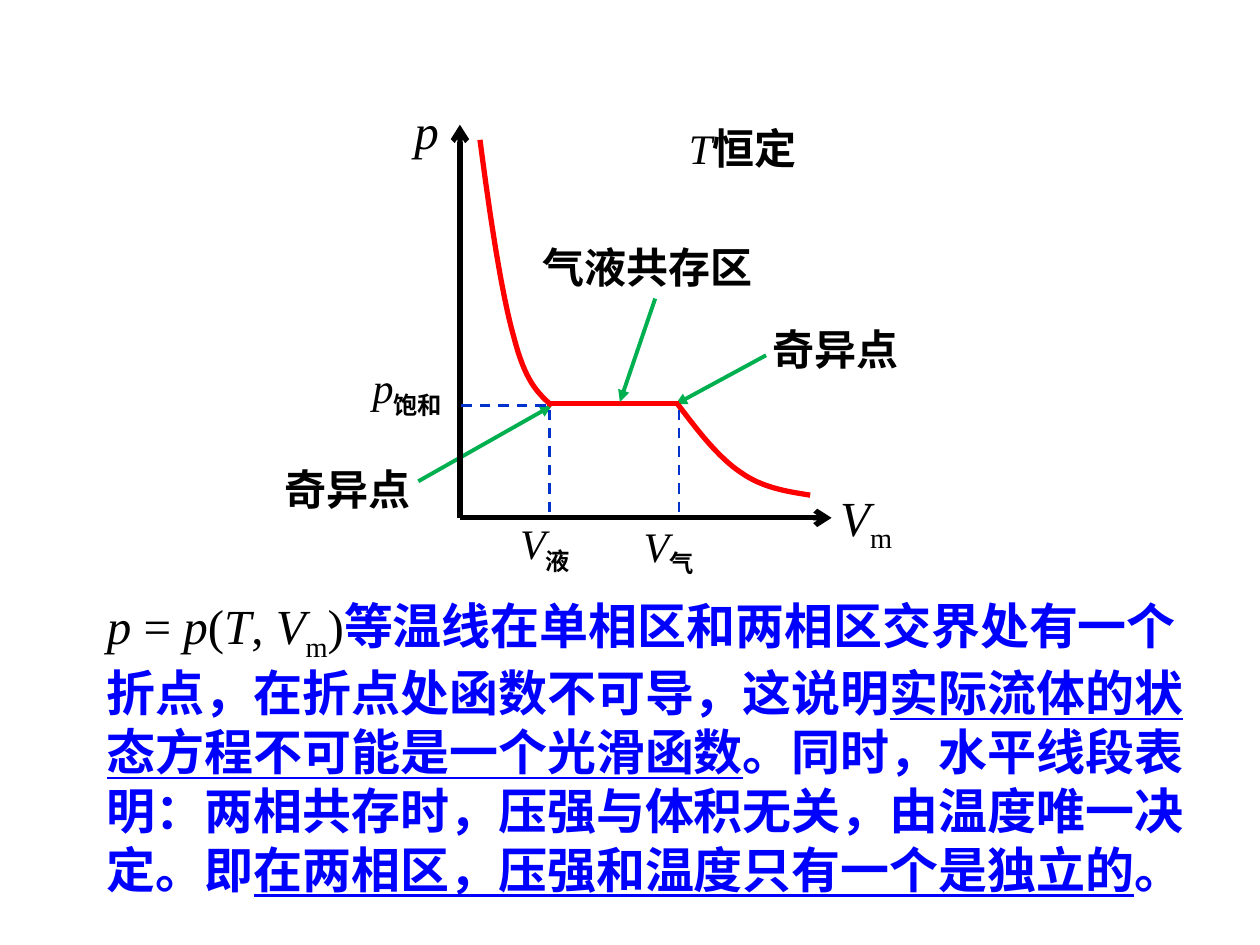
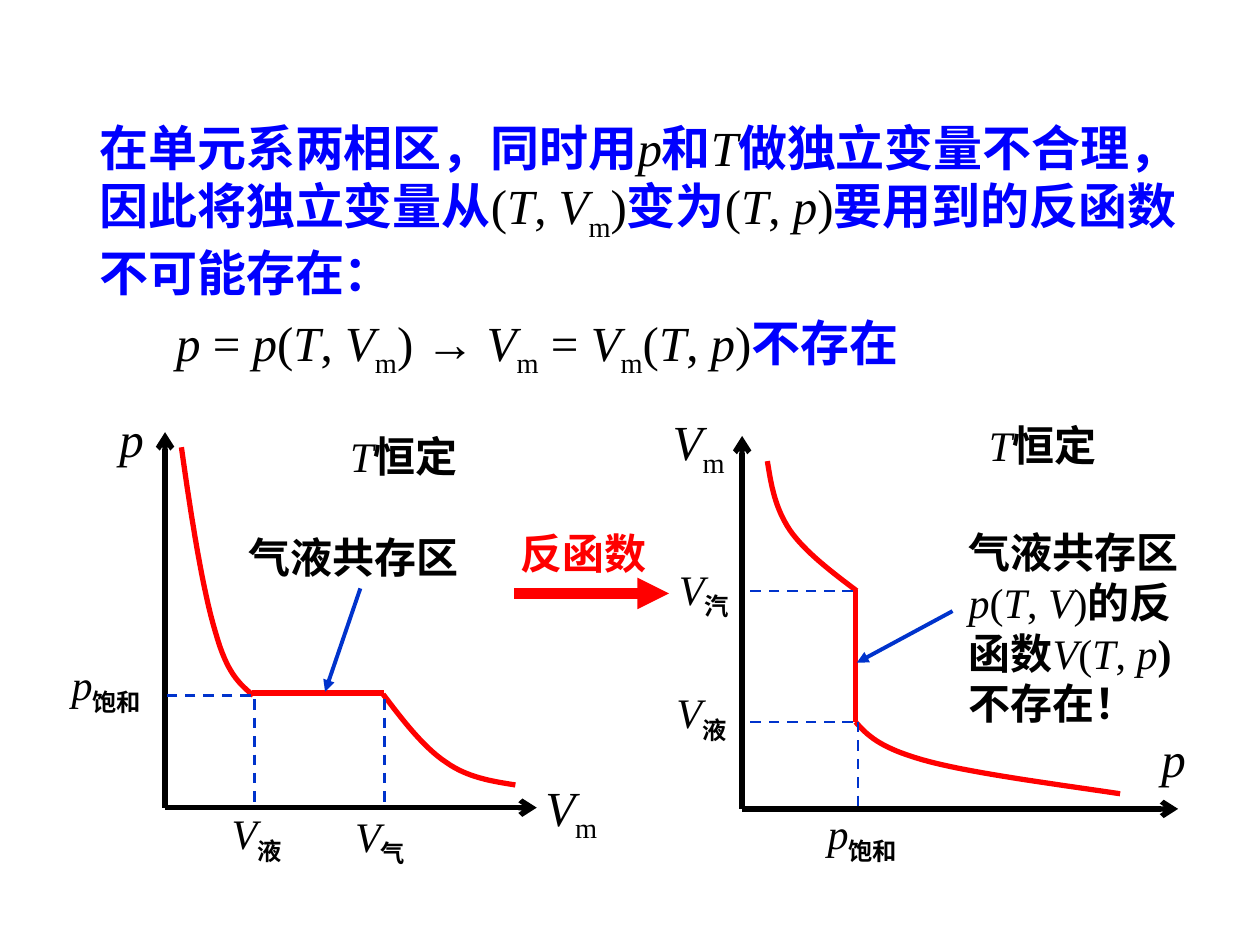
from itertools import groupby

from lxml import etree
from pptx import Presentation
from pptx.dml.color import RGBColor
from pptx.enum import dml, shapes, text
from pptx.oxml.ns import qn
from pptx.util import Inches, Pt

COLORS = {"ink": "000000", "body": "0000FF", "curve": "FF0000",
          "dash": "0033CC", "pointer": "00B050"}
LATIN, HAN = "Times New Roman", "Noto Sans CJK SC"
# Each mark switches its format on and off inside a string
MARKS = {"_": "sub", "|": "underline", "*": "bold"}
# Line kinds: colour, width, dashed, arrowhead
LINES = {
    "axis": ("ink", 3, False, "arrow"),
    "curve": ("curve", 3, False, None),
    "guide": ("dash", 1.5, True, None),
    "green": ("pointer", 2.25, False, "triangle"),
    "blue": ("dash", 2.25, False, "triangle"),
    "inverse": ("curve", 6, False, "triangle"),
}


def rgb(name):
    return RGBColor.from_string(COLORS[name])


# ---- Text: p, T, V are italic, m is a subscript, Chinese is bold ----
def styled_chars(source):
    on = dict.fromkeys(MARKS.values(), False)
    for ch in source:
        if ch in MARKS:
            on[MARKS[ch]] = not on[MARKS[ch]]
            continue
        han = ord(ch) > 127 and ch != "→"
        yield (han, han or on["bold"], ch in "pTV",
               ch == "m" or on["sub"], on["underline"]), ch


def add_rich(p, source, size, color, han_font):
    for style, chars in groupby(styled_chars(source), key=lambda pair: pair[0]):
        han, bold, italic, sub, underline = style
        r = p.add_run()
        r.text = "".join(ch for _, ch in chars)
        values = {"size": Pt(size), "bold": bold, "italic": italic,
                  "underline": underline, "name": han_font if han else LATIN}
        for key, value in values.items():
            setattr(r.font, key, value)
        r.font.color.rgb = rgb(color if han else "ink")
        rPr = r.font._element
        if sub:
            rPr.set("baseline", "-25000")
        ea = etree.Element(qn("a:ea"), typeface=HAN)
        rPr.find(qn("a:latin")).addnext(ea)


def add_text(sp_tree, box, *sources, size=24, color="ink", han_font=LATIN, wrap=True):
    tf = sp_tree.add_textbox(*map(Inches, box)).text_frame
    values = {"word_wrap": wrap, "auto_size": text.MSO_AUTO_SIZE.SHAPE_TO_FIT_TEXT}
    for key, value in values.items():
        setattr(tf, key, value)
    for i, source in enumerate(sources):
        p = tf.add_paragraph() if i else tf.paragraphs[0]
        add_rich(p, source, size, color, han_font)
    return tf


def add_body(slide, box, *sources):
    return add_text(slide.shapes, box, *sources, size=28, color="body", han_font=HAN)


# ---- Lines and curves ----
def format_line(line, kind):
    color, width, dashed, head = LINES[kind]
    line.color.rgb = rgb(color)
    line.width = Pt(width)
    if dashed:
        line.dash_style = dml.MSO_LINE.DASH
    return head


def add_line(sp_tree, kind, start, end):
    c = sp_tree.add_connector(shapes.MSO_CONNECTOR.STRAIGHT,
                              *map(Inches, (*start, *end)))
    head = format_line(c.line, kind)
    if head:
        etree.SubElement(c.line._get_or_add_ln(), qn("a:tailEnd"), type=head)
    etree.SubElement(c._element.spPr, qn("a:effectLst"))


def bezier(a, b, c, d, t):
    s = 1 - t
    return tuple(s**3 * w + 3 * s * s * t * x + 3 * s * t * t * y + t**3 * z
                 for w, x, y, z in zip(a, b, c, d))


def add_curve(sp_tree, knots, steps=16):
    """Draw cubic segments; neighbouring segments share a knot."""
    points = [knots[0]]
    for i in range(0, len(knots) - 1, 3):
        points += [bezier(*knots[i:i + 4], n / steps) for n in range(1, steps + 1)]
    points = [tuple(map(Inches, point)) for point in points]
    builder = sp_tree.build_freeform(*points[0])
    builder.add_line_segments(points[1:], close=False)
    sp = builder.convert_to_shape()
    sp.fill.background()
    sp.shadow.inherit = False
    format_line(sp.line, "curve")


# ---- Isotherm p(V), measured from its origin ----
def add_isotherm(sp_tree, origin, height, pointer, constant_at, saturation_at,
                 liquid_x, shift):
    def at(x, y):
        return origin[0] + x, origin[1] + y

    def label(x, y, width, source, size=24):
        add_text(sp_tree, (*at(x, y), width, 0.57 if size == 28 else 0.5),
                 source, size=size)

    # Axes
    add_line(sp_tree, "axis", at(0, 0), at(2.95, 0))
    add_line(sp_tree, "axis", at(0, 0), at(0, -height))
    label(-0.46, -height - 0.24, 0.46, "p", 28)
    label(2.92, -0.29, 0.74, "Vm", 28)

    # Isotherm: liquid branch, flat two-phase part, gas branch
    add_line(sp_tree, "curve", at(0.69, -0.91), at(1.74, -0.91))
    rise = (height - 1.01) / 2.11
    liquid = [(0.73, 0), (0.62, 0.1), (0.52, 0.19), (0.43, 0.54),
              (0.33, 0.89), (0.24, 1.5), (0.16, 2.11)]
    gas = [(2.78, -0.18), (2.59, -0.21), (2.4, -0.24), (2.23, -0.36),
           (2.05, -0.48), (1.89, -0.69), (1.73, -0.9)]
    add_curve(sp_tree, [at(x + shift, -0.89 - rise * y) for x, y in liquid])
    add_curve(sp_tree, [at(x, y) for x, y in gas])

    # Guides and labels
    for x in (0.71, 1.74):
        add_line(sp_tree, "guide", at(x, -0.86), at(x, 0))
    add_line(sp_tree, "guide", at(0.68, -0.89), at(0, -0.89))
    label(liquid_x, -0.05, 0.75, "V_液_")
    label(liquid_x + 0.98, -0.03, 0.75, "V_气_")
    label(*saturation_at, 0.94, "p_饱和_")
    label(*constant_at, 1.27, "T恒定")
    label(0.56, -2.24, 2.21, "气液共存区")
    add_line(sp_tree, pointer, at(1.55, -1.74), at(1.27, -0.92))


# ---- Inverse diagram V(p) ----
def add_inverse(sp_tree):
    origin = (5.89, 6.42)
    add_line(sp_tree, "axis", origin, (5.89, 3.46))
    add_line(sp_tree, "axis", origin, (9.35, 6.42))
    add_line(sp_tree, "curve", (6.79, 4.68), (6.79, 5.73))
    add_curve(sp_tree, [(6.09, 3.66), (6.12, 3.85), (6.15, 4.03), (6.27, 4.21),
                        (6.39, 4.38), (6.6, 4.54), (6.8, 4.69)])
    add_curve(sp_tree, [(6.79, 5.73), (6.88, 5.83), (6.97, 5.93), (7.32, 6.03),
                        (7.67, 6.13), (8.28, 6.21), (8.89, 6.3)])
    for y in (4.69, 5.73):
        add_line(sp_tree, "guide", (6.77, y), (5.92, y))
    add_line(sp_tree, "guide", (6.81, 5.73), (6.81, 6.42))

    add_text(sp_tree, (9.12, 5.73, 0.46, 0.57), "p", size=28)
    add_text(sp_tree, (5.24, 3.22, 0.75, 0.57), "Vm", size=28)
    for x, y, width, source in [(5.29, 4.42, 0.75, "V_汽_"), (5.27, 5.4, 0.75, "V_液_"),
                                (6.47, 6.36, 0.94, "p_饱和_"), (7.75, 3.28, 1.27, "T恒定")]:
        add_text(sp_tree, (x, y, width, 0.5), source)
    add_text(sp_tree, (7.59, 4.13, 2.1, 1.72),
             "气液共存区p(T, V)的反函数V(T, p*)*不存在！")
    add_line(sp_tree, "blue", (7.56, 4.85), (6.8, 5.26))


def add_group(slide):
    return slide.shapes.add_group_shape().shapes


def build_kink_slide(slide):
    add_body(slide, (0.75, 4.68, 9, 2.46),
             "p = p(T, Vm)等温线在单相区和两相区交界处有一个折点，在折点处函数不可导，"
             "这说明|实际流体的状态方程不可能是一个光滑函数|。同时，水平线段表明："
             "两相共存时，压强与体积无关，由温度唯一决定。即"
             "|在两相区，压强和温度只有一个是独立的|。")
    diagram = add_group(slide)
    for box, start, end in [((6.03, 2.52), (6.08, 2.82), (5.36, 3.21)),
                            ((2.16, 3.63), (3.32, 3.82), (4.38, 3.22))]:
        add_line(diagram, "green", start, end)
        add_text(diagram, (*box, 1.49, 0.5), "奇异点")
    add_isotherm(diagram, (3.65, 4.11), 3.12, "green", constant_at=(1.72, -3.19),
                 saturation_at=(-0.79, -1.29), liquid_x=0.38, shift=0)


def build_inverse_slide(slide):
    tf = add_body(slide, (0.69, 0.88, 8.93, 2.07),
                  "在单元系两相区，同时用p和T做独立变量不合理，因此将独立变量从(T, Vm)"
                  "变为(T, p)要用到的反函数不可能存在：",
                  "p = p(T, Vm) → Vm = Vm(T, p)不存在")
    formula = tf.paragraphs[1]
    formula.space_before = Pt(6)
    formula._p.get_or_add_pPr().set("indent", str(Inches(0.61)))

    # Arrow between the two diagrams
    step = add_group(slide)
    add_line(step, "inverse", (4.08, 4.71), (5.31, 4.71))
    add_text(step, (4.03, 4.14, 1.22, 0.5), "反函数", color="curve",
             han_font=HAN, wrap=False)

    add_isotherm(add_group(slide), (1.31, 6.41), 2.98, "blue",
                 constant_at=(1.37, -3.04), saturation_at=(-0.84, -1.23),
                 liquid_x=0.43, shift=-0.03)
    add_inverse(add_group(slide))


def main():
    prs = Presentation()
    prs.slide_width, prs.slide_height = Inches(10), Inches(7.5)
    blank = prs.slide_layouts[6]
    for build in (build_kink_slide, build_inverse_slide):
        build(prs.slides.add_slide(blank))
    prs.save("out.pptx")


if __name__ == "__main__":
    main()
